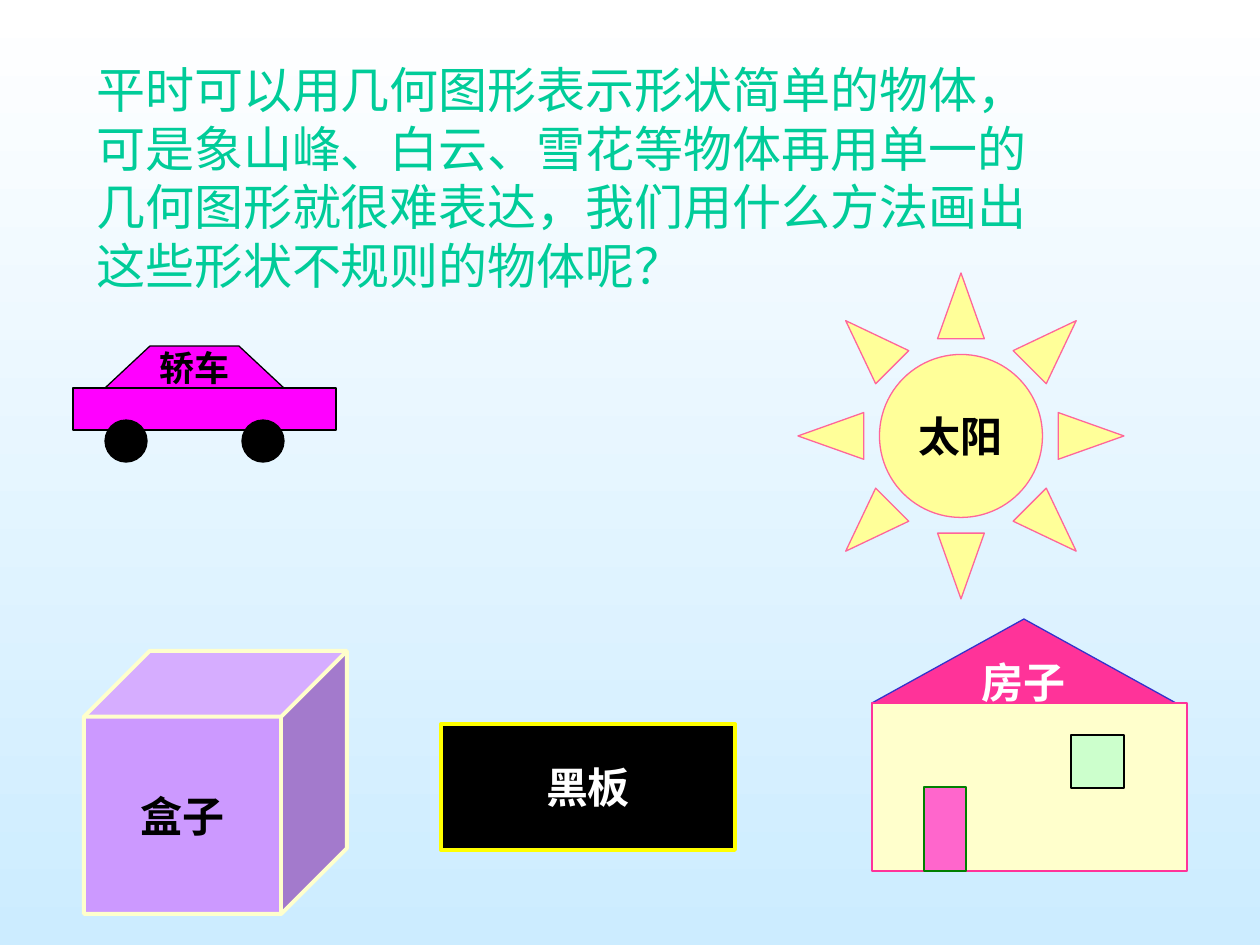
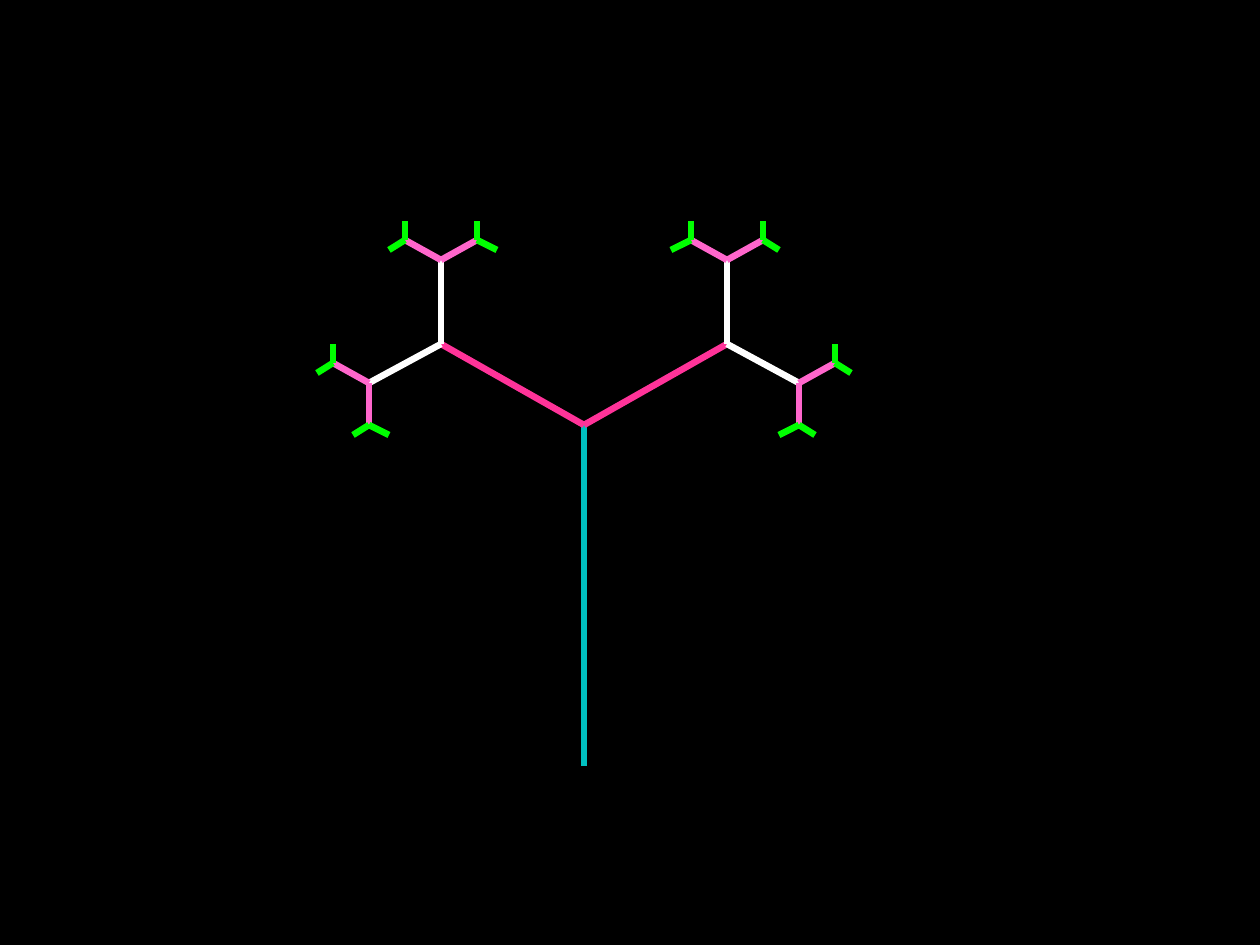
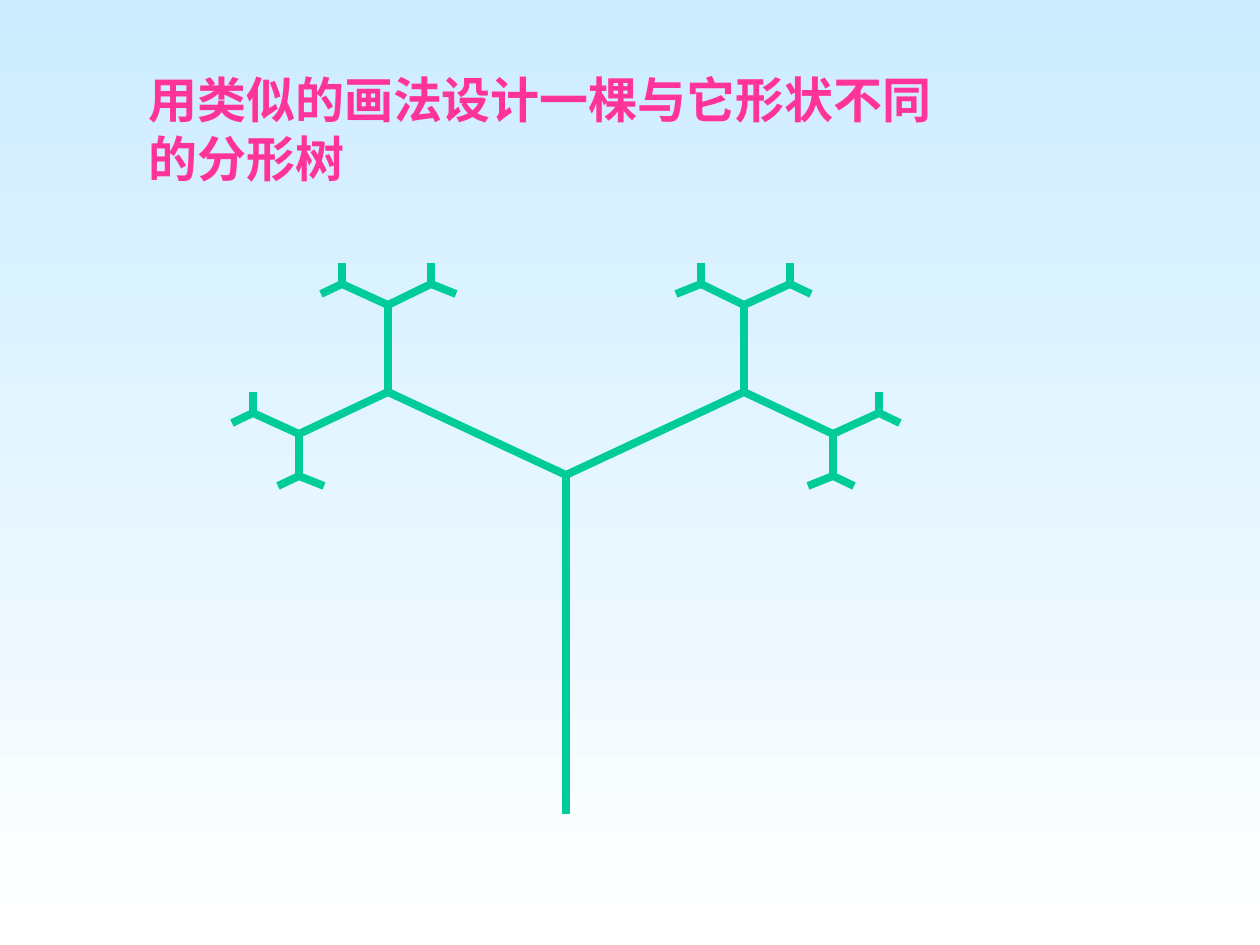
"""Build three slides on drawing simple objects and fractal trees."""
import typing

import lxml.etree
import pptx
import pptx.dml.color
import pptx.enum.shapes
import pptx.enum.text
import pptx.oxml.ns
import pptx.util

EMU_PER_PX = 914400 / 126
SLIDE_WIDTH, SLIDE_HEIGHT = 1260, 945
FONT = "Times New Roman"

BLACK = pptx.dml.color.RGBColor(0x00, 0x00, 0x00)
WHITE = pptx.dml.color.RGBColor(0xFF, 0xFF, 0xFF)
SKY = pptx.dml.color.RGBColor(0xCC, 0xEC, 0xFF)
GREEN = pptx.dml.color.RGBColor(0x00, 0xCC, 0x99)
PINK = pptx.dml.color.RGBColor(0xFF, 0x33, 0x99)
LIGHT_PINK = pptx.dml.color.RGBColor(0xFF, 0x66, 0xCC)
ROSE = pptx.dml.color.RGBColor(0xFF, 0x66, 0x99)
MAGENTA = pptx.dml.color.RGBColor(0xFF, 0x00, 0xFF)
YELLOW = pptx.dml.color.RGBColor(0xFF, 0xFF, 0x00)
SUN_YELLOW = pptx.dml.color.RGBColor(0xFF, 0xFF, 0x99)
CREAM = pptx.dml.color.RGBColor(0xFF, 0xFF, 0xCC)
MINT = pptx.dml.color.RGBColor(0xCC, 0xFF, 0xCC)
DOOR_GREEN = pptx.dml.color.RGBColor(0x00, 0x80, 0x00)
PURPLE = pptx.dml.color.RGBColor(0xCC, 0x99, 0xFF)
BLUE = pptx.dml.color.RGBColor(0x33, 0x33, 0xCC)
TEAL = pptx.dml.color.RGBColor(0x00, 0xC1, 0xC1)
LIME = pptx.dml.color.RGBColor(0x00, 0xFF, 0x00)

SHAPES = pptx.enum.shapes.MSO_SHAPE


class Level(typing.NamedTuple):
    """Reach of one generation of branches, in px, and its colour."""
    outer: int
    inner: int
    rise: int
    upright: int
    color: pptx.dml.color.RGBColor


def emu(*lengths):
    """Turn px lengths into EMU."""
    return [pptx.util.Emu(round(length * EMU_PER_PX)) for length in lengths]


def write_text(shape, text, *, size=24, color=BLACK, bold=True, wrap=False,
               align=pptx.enum.text.PP_ALIGN.CENTER,
               anchor=pptx.enum.text.MSO_ANCHOR.MIDDLE):
    """Write one formatted paragraph into a shape."""
    frame = shape.text_frame
    frame.word_wrap = wrap
    frame.vertical_anchor = anchor
    paragraph = frame.paragraphs[0]
    paragraph.alignment = align
    run = paragraph.add_run()
    run.text = text
    run.font.name = FONT
    run.font.size = pptx.util.Pt(size)
    run.font.bold = bold
    run.font.color.rgb = color


class Deck:
    """Hold the presentation, its style and the current slide."""

    def __init__(self):
        """Open an empty presentation of the right size."""
        self.presentation = pptx.Presentation()
        (self.presentation.slide_width,
         self.presentation.slide_height) = emu(SLIDE_WIDTH, SLIDE_HEIGHT)
        self.slide = None

    def add_slide(self, top_color, bottom_color=None):
        """Start a slide with a plain or a vertical gradient background."""
        self.slide = self.presentation.slides.add_slide(
            self.presentation.slide_layouts[6])
        fill = self.slide.background.fill
        if bottom_color is None:
            fill.solid()
            fill.fore_color.rgb = top_color
            return
        fill.gradient()
        fill.gradient_angle = 270
        for position, color in enumerate((top_color, bottom_color)):
            stop = fill.gradient_stops[position]
            stop.position = position
            stop.color.rgb = color

    def paint(self, shape, fill, line, width):
        """Give a shape its fill and outline."""
        shape.shadow.inherit = False
        shape.fill.solid()
        shape.fill.fore_color.rgb = fill
        shape.line.color.rgb = line
        shape.line.width = pptx.util.Pt(width)
        return shape

    def shape(self, kind, box, fill, line=BLACK, width=0.75):
        """Add a preset shape."""
        shape = self.slide.shapes.add_shape(kind, *emu(*box))
        return self.paint(shape, fill, line, width)

    def polygon(self, points, fill, line=BLACK, width=0.75):
        """Add a closed outline."""
        builder = self.slide.shapes.build_freeform(*points[0], scale=EMU_PER_PX)
        builder.add_line_segments(points[1:], close=True)
        return self.paint(builder.convert_to_shape(), fill, line, width)

    def heading(self, text, box, color, bold):
        """Add the wrapped text at the top of a slide."""
        shape = self.slide.shapes.add_textbox(*emu(*box))
        write_text(shape, text, size=28, color=color, bold=bold, wrap=True,
                   align=pptx.enum.text.PP_ALIGN.LEFT,
                   anchor=pptx.enum.text.MSO_ANCHOR.TOP)
        shape.text_frame.auto_size = pptx.enum.text.MSO_AUTO_SIZE.SHAPE_TO_FIT_TEXT

    def line(self, start, end, color, width):
        """Add a straight line."""
        connector = self.slide.shapes.add_connector(
            pptx.enum.shapes.MSO_CONNECTOR.STRAIGHT, *emu(*start, *end))
        connector.line.color.rgb = color
        connector.line.width = pptx.util.Pt(width)
        lxml.etree.SubElement(connector._element.spPr,
                              pptx.oxml.ns.qn("a:effectLst"))

    def tree(self, fork, base, trunk_color, levels, width):
        """Draw a trunk and the branches that grow from its fork."""
        self.line(fork, (fork[0], base), trunk_color, width)
        self.branches(fork, (0, -1), levels, width, fork[0])

    def branches(self, node, heading, levels, width, trunk_x):
        """Draw two branches at a node, then those that grow from their ends."""
        if not levels:
            return
        level = levels[0]
        side, rise = heading
        turns = ((0, rise), (side, -rise)) if side else ((-1, rise), (1, rise))
        for turn in turns:
            inward = turn[0] * (node[0] - trunk_x) < 0
            reach = level.inner if inward else level.outer
            height = level.rise if turn[0] else level.upright
            end = (node[0] + turn[0] * reach, node[1] + turn[1] * height)
            self.line(node, end, level.color, width)
            self.branches(end, turn, levels[1:], width, trunk_x)


def add_objects(deck):
    """Draw the slide of objects made from simple shapes."""
    deck.add_slide(WHITE, SKY)
    board = deck.shape(SHAPES.RECTANGLE, (441, 724, 294, 126), BLACK, YELLOW, 2.25)
    write_text(board, "黑板", color=WHITE)

    house_roof = deck.shape(SHAPES.ISOSCELES_TRIANGLE, (872, 619, 304, 84), PINK, BLUE)
    write_text(house_roof, "房子", color=WHITE)
    deck.shape(SHAPES.RECTANGLE, (872, 703, 315, 168), CREAM, PINK)
    deck.shape(SHAPES.RECTANGLE, (924, 787, 42, 84), LIGHT_PINK, DOOR_GREEN)
    deck.shape(SHAPES.RECTANGLE, (1071, 735, 53, 53), MINT)

    car_roof = deck.polygon([(105, 388), (284, 388), (239, 346), (150, 346)], MAGENTA)
    write_text(car_roof, "轿车", size=20)
    deck.shape(SHAPES.RECTANGLE, (73, 388, 263, 42), MAGENTA)
    for wheel_left in (105, 242):
        deck.shape(SHAPES.OVAL, (wheel_left, 420, 42, 42), BLACK)

    box = deck.shape(SHAPES.CUBE, (84, 651, 263, 263), PURPLE, CREAM, 2.25)
    write_text(box, "盒子")
    sun = deck.shape(SHAPES.SUN, (798, 273, 326, 326), SUN_YELLOW, ROSE)
    write_text(sun, "太阳")
    deck.heading("平时可以用几何图形表示形状简单的物体，可是象山峰、白云、雪花等物体"
                 "再用单一的几何图形就很难表达，我们用什么方法画出这些形状不规则的物体呢？",
                 (84, 53, 956, 248), GREEN, False)


def add_colored_tree(deck):
    """Draw the tree with one colour for each generation."""
    deck.add_slide(BLACK)
    levels = [Level(143, 143, 81, 0, PINK), Level(72, 72, 39, 84, WHITE),
              Level(36, 36, 20, 42, LIGHT_PINK), Level(16, 20, 10, 19, LIME)]
    deck.tree((584, 425), 766, TEAL, levels, 3.75)


def add_task(deck):
    """Draw the design task with its green tree."""
    deck.add_slide(SKY, WHITE)
    levels = [Level(178, 178, 83, 0, GREEN), Level(89, 89, 42, 87, GREEN),
              Level(46, 43, 21, 42, GREEN), Level(21, 25, 10, 21, GREEN)]
    deck.tree((566, 475), 814, GREEN, levels, 4.5)
    deck.heading("用类似的画法设计一棵与它形状不同的分形树",
                 (136, 63, 840, 131), PINK, True)


def main():
    """Build the slides and save them."""
    deck = Deck()
    add_objects(deck)
    add_colored_tree(deck)
    add_task(deck)
    deck.presentation.save("out.pptx")


if __name__ == "__main__":
    main()
